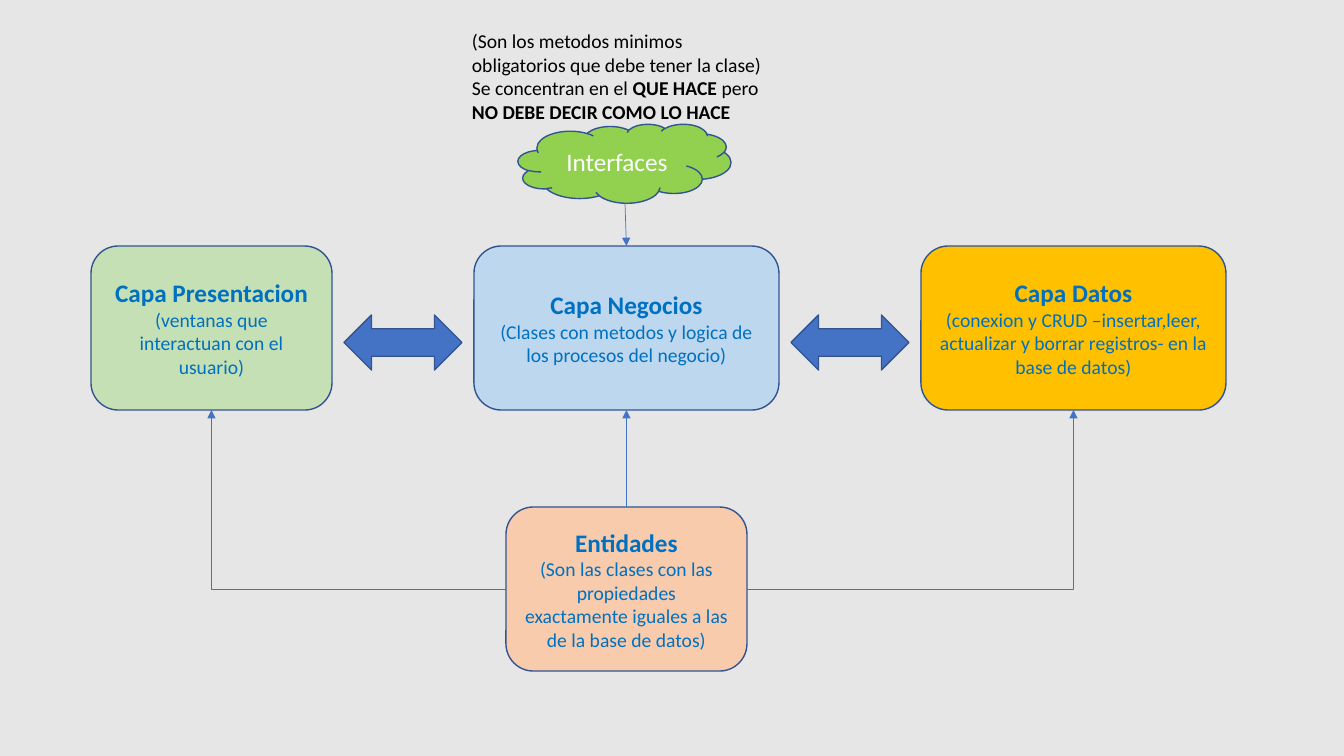
import pptx
import pptx.util
import pptx.dml.color
import pptx.enum.shapes
import pptx.enum.text
import pptx.oxml.ns
import lxml.etree

SHAPE = pptx.enum.shapes.MSO_SHAPE
CONNECTOR = pptx.enum.shapes.MSO_CONNECTOR
ALIGN = pptx.enum.text.PP_ALIGN
TOP, LEFT, BOTTOM, RIGHT = range(4)
EMU_PER_PX = 914400 / 100.8
COLORS = {
    "background": "E7E6E6", "outline": "325491", "accent": "4472C4",
    "label": "0070C0", "black": "000000", "white": "FFFFFF",
    "presentacion": "C5E0B4", "negocios": "BDD7EE", "datos": "FFC000",
    "entidades": "F8CBAD", "interfaces": "92D050",
}


def px(n):
    """Turn px into EMU."""
    return pptx.util.Emu(round(n * EMU_PER_PX))


def rgb(name):
    """Look up a colour by name."""
    return pptx.dml.color.RGBColor.from_string(COLORS[name])


def add_run(p, text, size, color, bold=False):
    """Add one formatted run to a paragraph."""
    r = p.add_run()
    r.text = text
    r.font.name = "Calibri"
    r.font.size = pptx.util.Pt(size)
    r.font.bold = bold
    r.font.color.rgb = rgb(color)


def add_filled(slide, kind, box, color):
    """Add an outlined preset shape with centred text."""
    sp = slide.shapes.add_shape(kind, *map(px, box))
    sp.shadow.inherit = False
    sp.fill.solid()
    sp.fill.fore_color.rgb = rgb(color)
    sp.line.color.rgb = rgb("outline")
    sp.line.width = pptx.util.Pt(1)
    tf = sp.text_frame
    tf.word_wrap = True
    tf.vertical_anchor = pptx.enum.text.MSO_ANCHOR.MIDDLE
    tf.paragraphs[0].alignment = ALIGN.CENTER
    return sp


def add_layer(slide, box, color, title, detail):
    """Add a rounded box holding a layer's title and description."""
    sp = add_filled(slide, SHAPE.ROUNDED_RECTANGLE, box, color)
    tf = sp.text_frame
    add_run(tf.paragraphs[0], title, 18, "label", True)
    p = tf.add_paragraph()
    p.alignment = ALIGN.CENTER
    add_run(p, detail, 14, "label")
    return sp


def add_link(slide, kind, start, end):
    """Add a thin connector with an arrowhead at its end."""
    c = slide.shapes.add_connector(kind, *map(px, start + end))
    c.line.color.rgb = rgb("accent")
    c.line.width = pptx.util.Pt(0.5)
    spPr = c._element.spPr
    qn = pptx.oxml.ns.qn
    if kind == CONNECTOR.ELBOW:
        spPr.find(qn("a:prstGeom")).set("prst", "bentConnector2")
    lxml.etree.SubElement(spPr.find(qn("a:ln")), qn("a:tailEnd"), type="triangle")
    lxml.etree.SubElement(spPr, qn("a:effectLst"))
    return c


def add_layers(slide, x, y):
    """Place the row of three layers with double arrows between them."""
    height, gap, arrow_w, arrow_h = 164, 12, 118, 55
    layers = [
        (241, "presentacion", "Capa Presentacion",
         "(ventanas que interactuan con el usuario)"),
        (305, "negocios", "Capa Negocios",
         "(Clases con metodos y logica de los procesos del negocio)"),
        (305, "datos", "Capa Datos",
         "(conexion y CRUD –insertar,leer, actualizar y borrar registros- en la base de datos)"),
    ]
    placed = []
    for width, color, title, detail in layers:
        if placed:
            arrow = (x + gap, y + 69, arrow_w, arrow_h)
            add_filled(slide, SHAPE.LEFT_RIGHT_ARROW, arrow, "accent")
            x += arrow_w + 2 * gap
        placed.append(add_layer(slide, (x, y, width, height), color, title, detail))
        x += width
    return placed


def add_entities(slide, box, layers):
    """Place the entities box and link it to every layer."""
    sp = add_layer(slide, box, "entidades", "Entidades",
                   "(Son las clases con las propiedades exactamente iguales a las de la base de datos)")
    routes = [(CONNECTOR.ELBOW, LEFT), (CONNECTOR.STRAIGHT, TOP), (CONNECTOR.ELBOW, RIGHT)]
    for layer, (kind, side) in zip(layers, routes):
        c = add_link(slide, kind, (0, 0), (0, 0))
        c.begin_connect(sp, side)
        c.end_connect(layer, BOTTOM)


def add_interfaces(slide, box, layer):
    """Place the interfaces cloud, its note above and its link below."""
    x, y, w, h = box
    sp = add_filled(slide, SHAPE.CLOUD, box, "interfaces")
    add_run(sp.text_frame.paragraphs[0], "Interfaces", 18, "white")
    c = add_link(slide, CONNECTOR.STRAIGHT, (x + w // 2 + 1, y + h), (0, 0))
    c.end_connect(layer, TOP)

    note = slide.shapes.add_textbox(px(x - 56), px(y - 100), px(314), px(105))
    tf = note.text_frame
    tf.word_wrap = True
    add_run(tf.paragraphs[0],
            "(Son los metodos minimos obligatorios que debe tener la clase)", 14, "black")
    p = tf.add_paragraph()
    for text, bold in [("Se concentran en el ", False), ("QUE HACE ", True),
                       ("pero ", False), ("NO DEBE DECIR COMO LO HACE", True)]:
        add_run(p, text, 14, "black", bold)


def main():
    """Build the layered architecture slide."""
    prs = pptx.Presentation()
    prs.slide_width, prs.slide_height = px(1344), px(756)
    slide = prs.slides.add_slide(prs.slide_layouts[6])
    slide.background.fill.solid()
    slide.background.fill.fore_color.rgb = rgb("background")
    layers = add_layers(slide, 91, 246)
    add_entities(slide, (506, 507, 241, 164), layers)
    add_interfaces(slide, (518, 124, 213, 79), layers[1])
    prs.save("out.pptx")


if __name__ == "__main__":
    main()
